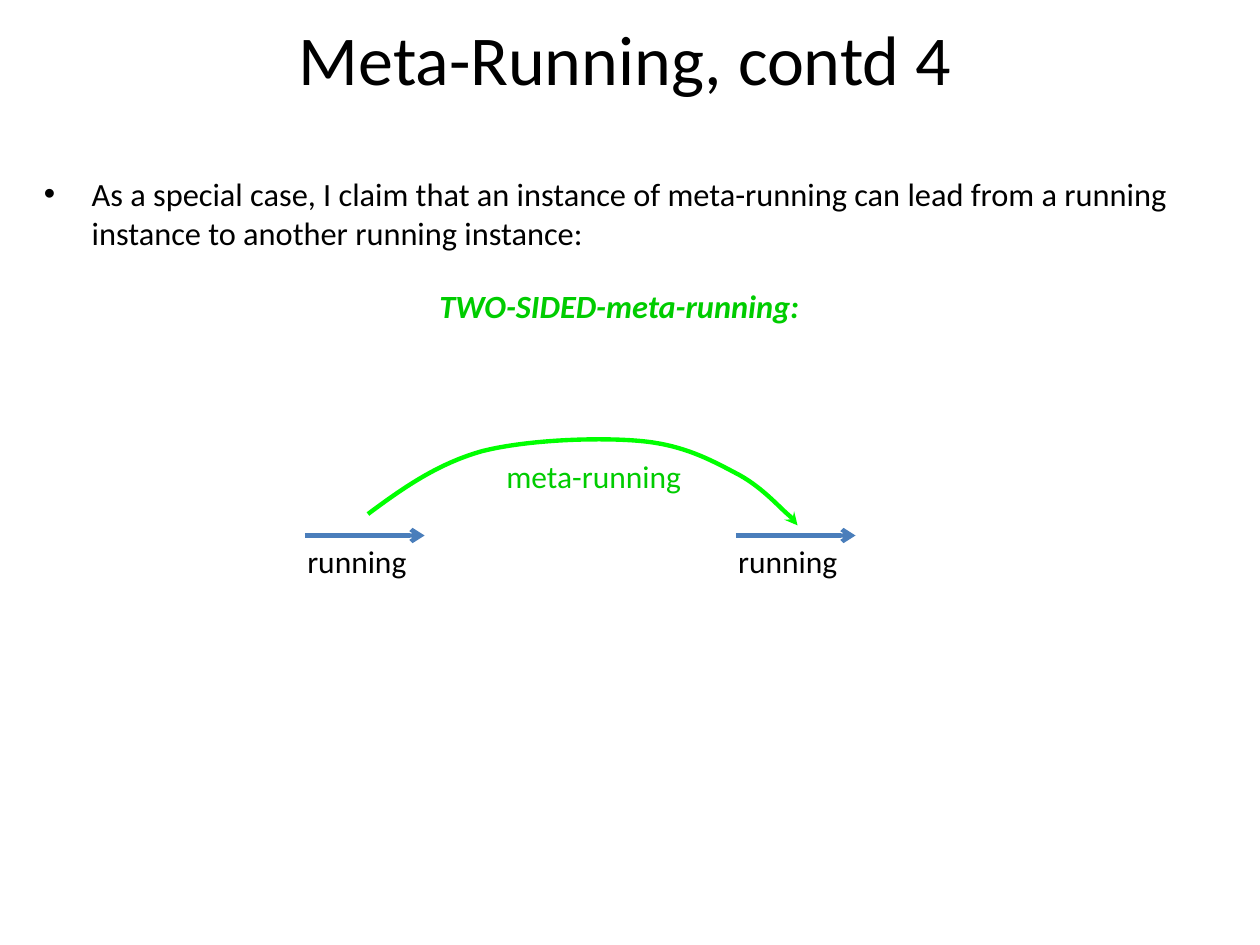
from dataclasses import dataclass

from lxml import etree
from pptx import Presentation
from pptx.dml.color import RGBColor
from pptx.enum.shapes import MSO_CONNECTOR
from pptx.enum.text import MSO_ANCHOR, MSO_AUTO_SIZE, PP_ALIGN
from pptx.oxml.ns import qn
from pptx.util import Inches, Pt

CENTER, LEFT = PP_ALIGN.CENTER, PP_ALIGN.LEFT
MIDDLE = MSO_ANCHOR.MIDDLE
FIT = MSO_AUTO_SIZE.SHAPE_TO_FIT_TEXT
STRAIGHT = MSO_CONNECTOR.STRAIGHT


@dataclass(frozen=True)
class Theme:
    font: str = "Calibri"
    ink: str = "000000"
    term: str = "00CC00"
    arc: str = "00FF00"
    arrow: str = "4A7EBB"
    title: float = 40
    body: float = 18.5
    label: float = 18
    line: float = 2.5
    gap: float = 20


THEME = Theme()

# Start point, then two control points and an end point per curve
ARC = [
    (2.92, 4.08),
    (3.19, 3.88), (3.47, 3.68), (3.83, 3.58),
    (4.19, 3.49), (4.75, 3.47), (5.08, 3.5),
    (5.42, 3.53), (5.64, 3.65), (5.83, 3.75),
    (6.03, 3.85), (6.17, 4.01), (6.25, 4.08),
    (6.33, 4.15), (6.33, 4.16), (6.33, 4.17),
]


def add_run(para, text, size, color, strong=False):
    run = para.add_run()
    run.text = text
    font = run.font
    font.name, font.size = THEME.font, Pt(size)
    font.color.rgb = RGBColor.from_string(color)
    font.bold = font.italic = strong


def style_line(shape, color, head):
    shape.line.color.rgb = RGBColor.from_string(color)
    shape.line.width = Pt(THEME.line)
    ln = shape.line._get_or_add_ln()
    etree.SubElement(ln, qn("a:tailEnd"), type=head)


def set_bullet(para, indent):
    props = para._p.get_or_add_pPr()
    props.set("marL", str(Inches(indent)))
    props.set("indent", str(-Inches(indent)))
    color = etree.SubElement(props, qn("a:buClr"))
    etree.SubElement(color, qn("a:srgbClr"), val=THEME.ink)
    etree.SubElement(props, qn("a:buFont"), typeface="Arial")
    etree.SubElement(props, qn("a:buChar"), char="•")


def add_title(slide, box, text):
    title = slide.shapes.title
    title.left, title.top, title.width, title.height = map(Inches, box)
    frame = title.text_frame
    frame.auto_size = MSO_AUTO_SIZE.NONE
    frame.vertical_anchor = MIDDLE
    para = frame.paragraphs[0]
    para.alignment = CENTER
    add_run(para, text, THEME.title, THEME.ink)


def add_body(slide, box, claim, term):
    frame = slide.shapes.add_textbox(*map(Inches, box)).text_frame
    frame.word_wrap = True
    first, second = frame.paragraphs[0], frame.add_paragraph()
    for para, align in ((first, LEFT), (second, CENTER)):
        para.alignment = align
        para.space_before = Pt(THEME.gap)
    set_bullet(first, 0.38)
    add_run(first, claim, THEME.body, THEME.ink)
    add_run(second, term, THEME.body, THEME.term, strong=True)


def add_label(slide, box, text, color):
    frame = slide.shapes.add_textbox(*map(Inches, box)).text_frame
    frame.word_wrap = False
    frame.auto_size = FIT
    add_run(frame.paragraphs[0], text, THEME.label, color)


def add_step(slide, box):
    """Place a running arrow along the top of the box, its label below."""
    left, top, width, height = box
    y = Inches(top)
    arrow = slide.shapes.add_connector(
        STRAIGHT, Inches(left), y, Inches(left + width), y)
    etree.SubElement(arrow._element.spPr, qn("a:effectLst"))
    style_line(arrow, THEME.arrow, "arrow")
    add_label(slide, (left - 0.08, top, 0.99, height), "running", THEME.ink)


def add_arc(slide, points):
    spots = [(Inches(x), Inches(y)) for x, y in points]
    pen = slide.shapes.build_freeform(*spots[0])
    pen.add_line_segments(spots[1:], close=False)
    arc = pen.convert_to_shape()
    arc.shadow.inherit = False
    arc.fill.background()
    style_line(arc, THEME.arc, "stealth")
    # Each three straight segments become one cubic curve
    path = next(arc._element.iter(qn("a:path")))
    legs = path.findall(qn("a:lnTo"))
    for i in range(0, len(legs), 3):
        curve = etree.SubElement(path, qn("a:cubicBezTo"))
        for leg in legs[i:i + 3]:
            curve.append(leg[0])
            path.remove(leg)


def add_diagram(slide, box):
    left, top, width, height = box
    step_top = top + 0.78
    for x in (left, left + 3.42):
        add_step(slide, (x, step_top, 0.95, 0.4))
    dx, dy = left - 2.42, top - 3.47
    add_arc(slide, [(x + dx, y + dy) for x, y in ARC])
    add_label(slide, (left + 1.5, top + 0.11, 1.59, 0.4),
              "meta-running", THEME.term)


def main():
    deck = Presentation()
    deck.slide_width, deck.slide_height = Inches(10), Inches(7.5)
    slide = deck.slides.add_slide(deck.slide_layouts[5])
    add_title(slide, (0.25, 0.17, 9.42, 0.58), "Meta-Running, contd 4")
    add_body(
        slide, (0.25, 1.33, 9.33, 1.33),
        "As a special case, I claim that an instance of meta-running can "
        "lead from a running instance to another running instance:",
        "TWO-SIDED-meta-running:")
    add_diagram(slide, (2.42, 3.47, 4.37, 1.18))
    deck.save("out.pptx")


if __name__ == "__main__":
    main()
